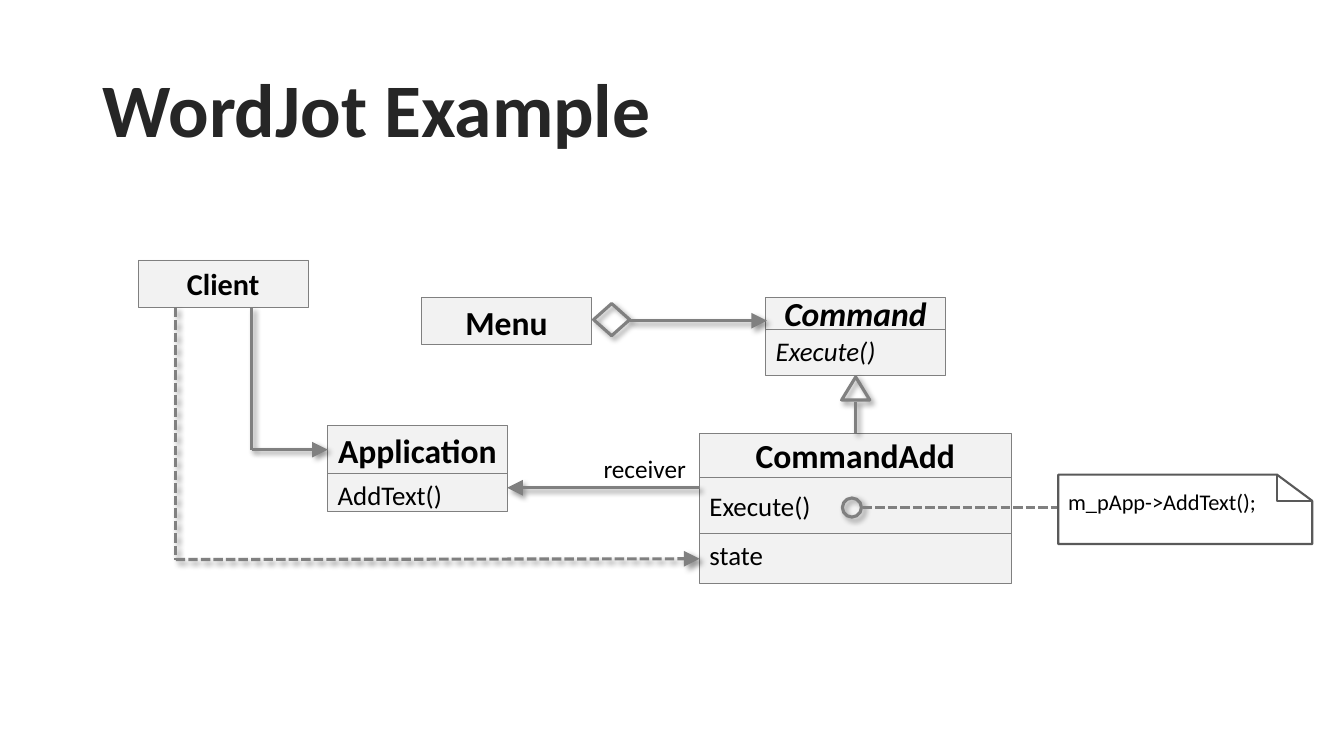
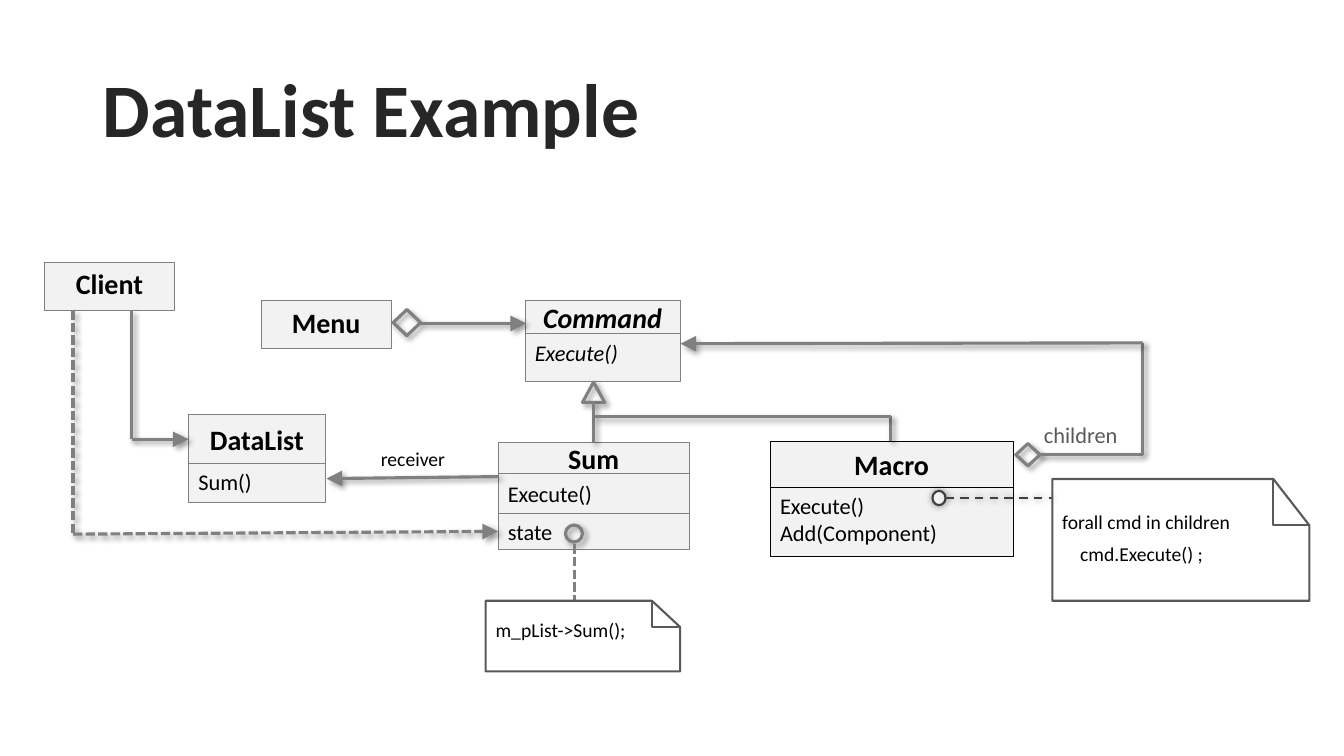
"""Build two class diagrams that explain the Command pattern."""
from dataclasses import dataclass

from lxml import etree
from pptx import Presentation
from pptx import util as u
from pptx.dml.color import RGBColor
from pptx.enum import dml, shapes, text
from pptx.oxml.ns import qn


@dataclass(frozen=True)
class Theme:
    font: str = "Calibri"
    title: str = "262626"
    ink: str = "000000"
    soft: str = "595959"
    edge: str = "808080"
    dark: str = "404040"
    fill: str = "F2F2F2"
    big: float = 54
    ratio: float = 0.8
    thin: float = 0.5
    mid: float = 1.5
    bold: float = 2.25
    glow: tuple = (5, 0, 0)
    drop: tuple = (4, 3, 45)


T = Theme()
KIND = shapes.MSO_SHAPE
MID, TOP = text.MSO_ANCHOR.MIDDLE, text.MSO_ANCHOR.TOP
LEFT, MIDX = text.PP_ALIGN.LEFT, text.PP_ALIGN.CENTER
DOTS, DASH = dml.MSO_LINE.SQUARE_DOT, dml.MSO_LINE.DASH

SLIDES = [
    {
        "title": "WordJot Example",
        "boxes": [
            {"at": (19.3, 7.49), "w": 4.52, "size": 24, "italic": True,
             "rows": [("Command", 0.81), ("Execute()", 1.17)]},
            {"at": (10.62, 7.49), "w": 4.29, "size": 24, "rows": [("Menu", 1.19)]},
            {"at": (17.63, 10.92), "w": 7.85, "size": 24,
             "rows": [("CommandAdd", 1.12), ("Execute()", 1.4), ("state", 1.27)]},
            {"at": (8.26, 10.72), "w": 4.52, "size": 24,
             "rows": [("Application", 1.22), ("AddText()", 0.94)]},
            {"at": (3.48, 6.55), "w": 4.29, "size": 21.6, "rows": [("Client", 1.19)]},
        ],
        "marks": [
            {"kind": KIND.DIAMOND, "at": (14.96, 7.65, 0.91, 0.81)},
            {"kind": KIND.ISOSCELES_TRIANGLE, "at": (21.21, 9.5, 0.71, 0.58)},
            {"kind": KIND.OVAL, "at": (21.23, 12.55, 0.48, 0.48)},
        ],
        "paths": [
            {"pts": [(17.63, 12.29), (12.78, 12.29)], "tip": True},
            {"pts": [(15.88, 8.08), (19.33, 8.08)], "tip": True},
            {"pts": [(21.56, 10.13), (21.56, 10.92)]},
            {"pts": [(6.34, 7.75), (6.34, 11.33), (8.26, 11.33)], "tip": True},
            {"pts": [(4.43, 7.75), (4.43, 14.1), (17.63, 14.08)], "tip": True, "dash": DOTS},
            {"pts": [(21.74, 12.78), (26.67, 12.78)], "dash": DOTS, "fx": None},
        ],
        "notes": [
            {"at": (26.67, 11.96, 6.4, 1.75), "fold": (0.89, 0.66), "size": 16,
             "lines": [("m_pApp->AddText();", 0)], "lead": 0.5, "gap": 7.2},
        ],
        "tags": [
            {"at": (14.96, 11.46, 2.74, 0.97), "text": "receiver", "size": 18,
             "lead": 0.5, "gap": 7.2, "anchor": MID},
        ],
    },
    {
        "title": "DataList Example",
        "boxes": [
            {"at": (13.23, 7.57), "w": 3.91, "italic": True,
             "rows": [("Command", 0.84), ("Execute()", 1.19)]},
            {"at": (6.58, 7.57), "w": 3.28, "rows": [("Menu", 1.22)]},
            {"at": (12.55, 11.15), "w": 4.83,
             "rows": [("Sum", 0.79), ("Execute()", 0.99), ("state", 0.91)]},
            {"at": (4.75, 10.44), "w": 3.45, "rows": [("DataList", 1.24), ("Sum()", 0.97)]},
            {"at": (1.12, 6.6), "w": 3.28, "rows": [("Client", 1.22)]},
            {"at": (19.41, 11.13), "w": 6.12, "edge": T.ink,
             "rows": [("Macro", 1.15), ("Execute()\nAdd(Component)", 1.75)]},
        ],
        "marks": [
            {"kind": KIND.DIAMOND, "at": (9.91, 7.8, 0.69, 0.66)},
            {"kind": KIND.ISOSCELES_TRIANGLE, "at": (14.68, 9.63, 0.56, 0.51)},
            {"kind": KIND.OVAL, "at": (14.25, 13.23, 0.43, 0.43)},
            {"kind": KIND.DIAMOND, "at": (25.6, 11.18, 0.61, 0.56)},
            {"kind": KIND.OVAL, "at": (23.5, 12.37, 0.33, 0.36), "fill": T.fill,
             "edge": T.dark, "width": T.mid, "fx": T.glow},
        ],
        "paths": [
            {"pts": [(12.55, 12.01), (8.23, 12.06)], "tip": True},
            {"pts": [(10.62, 8.15), (13.26, 8.15)], "tip": True},
            {"pts": [(14.96, 10.11), (14.96, 11.15)]},
            {"pts": [(3.32, 7.82), (3.32, 11.07), (4.75, 11.07)], "tip": True},
            {"pts": [(1.84, 7.82), (1.84, 13.46), (12.55, 13.39)], "tip": True, "dash": DOTS},
            {"pts": [(14.48, 13.72), (14.48, 15.14)], "dash": DOTS, "fx": None},
            {"pts": [(26.16, 11.46), (28.8, 11.46), (28.8, 8.64), (17.15, 8.66)], "tip": True},
            {"pts": [(23.83, 12.55), (26.52, 12.55)], "dash": DASH,
             "edge": T.dark, "width": T.mid, "fx": T.glow},
            {"pts": [(22.45, 11.1), (22.45, 10.49), (14.96, 10.49)]},
        ],
        "notes": [
            {"at": (12.24, 15.14, 4.9, 1.78), "fold": (0.71, 0.66), "size": 14,
             "lines": [("m_pList->Sum();", 0)], "lead": 0.5, "gap": 7.2},
            {"at": (26.52, 12.07, 6.48, 3.07), "fold": (0.91, 1.17), "size": 14,
             "lines": [("forall cmd in children", 0), ("cmd.Execute() ;", 0.45)], "gap": 6},
        ],
        "tags": [
            {"at": (9.35, 11.18, 2.64, 0.99), "text": "receiver", "size": 14,
             "lead": 0.5, "gap": 7.2, "anchor": MID},
            {"at": (26.06, 10.49, 2.84, 0.84), "text": "children", "size": 16, "color": T.soft},
        ],
    },
]


def cm(vals):
    return [u.Cm(v) for v in vals]


def say(frame, words, size=16, color=T.ink, bold=False, italic=False, align=LEFT,
        anchor=TOP, lead=None, gap=None, indent=0):
    frame.word_wrap = True
    frame.vertical_anchor = anchor
    for line in words.split("\n"):
        para = frame.paragraphs[-1]
        if para.runs:
            para = frame.add_paragraph()
        para.alignment = align
        if lead:
            para.line_spacing = lead
        if gap:
            para.space_before = u.Pt(gap)
        if indent:
            para._p.get_or_add_pPr().set("marL", str(u.Cm(indent)))
        run = para.add_run()
        run.text = line
        font = run.font
        font.name, font.size, font.bold, font.italic = T.font, u.Pt(size), bold, italic
        font.color.rgb = RGBColor.from_string(color)


def style(shape, fill=None, edge=T.edge, width=T.bold, dash=None, fx=None):
    if hasattr(shape, "fill"):
        if fill:
            shape.fill.solid()
            shape.fill.fore_color.rgb = RGBColor.from_string(fill)
        else:
            shape.fill.background()
    shape.line.color.rgb = RGBColor.from_string(edge)
    shape.line.width = u.Pt(width)
    if dash:
        shape.line.dash_style = dash
    effect = etree.SubElement(shape._element.spPr, qn("a:effectLst"))
    if fx:
        blur, dist, turn = fx
        shade = etree.SubElement(effect, qn("a:outerShdw"), blurRad=str(u.Pt(blur)),
                                 dist=str(u.Pt(dist)), dir=str(turn * 60000),
                                 algn="tl", rotWithShape="0")
        tint = etree.SubElement(shade, qn("a:srgbClr"), val=T.ink)
        etree.SubElement(tint, qn("a:alpha"), val="40000")


def draw_box(slide, at, w, rows, size=20, italic=False, edge=T.edge):
    x, y = at
    for i, (words, h) in enumerate(rows):
        head, last = i == 0, i == len(rows) - 1
        cell = slide.shapes.add_shape(KIND.RECTANGLE, *cm((x, y, w, h)))
        style(cell, fill=T.fill, edge=edge, width=T.thin)
        say(cell.text_frame, words, size=size if head else size * T.ratio, bold=head,
            italic=italic, align=MIDX if head else LEFT, anchor=TOP if last else MID)
        y += h


def draw_mark(slide, kind, at, fx=T.drop, **look):
    style(slide.shapes.add_shape(kind, *cm(at)), fx=fx, **look)


def draw_path(slide, pts, tip=False, fx=T.drop, **look):
    for start, end in zip(pts, pts[1:]):
        line = slide.shapes.add_connector(shapes.MSO_CONNECTOR.STRAIGHT, *cm(start + end))
        style(line, fx=fx, **look)
        if tip and end == pts[-1]:
            etree.SubElement(line.line._get_or_add_ln(), qn("a:tailEnd"),
                             type="triangle", w="lg", len="lg")


def draw_note(slide, at, fold, lines, **form):
    x, y, w, h = cm(at)
    dx, dy = cm(fold)
    crease, right, low = x + w - dx, x + w, y + dy
    pen = slide.shapes.build_freeform(x, y)
    pen.add_line_segments([(crease, y), (right, low), (right, y + h), (x, y + h)], close=True)
    pen.move_to(crease, y)
    pen.add_line_segments([(crease, low), (right, low)], close=False)
    note = pen.convert_to_shape()
    style(note, edge=T.soft, width=T.mid)
    note.text_frame.margin_bottom = u.Cm(0.25)
    for words, indent in lines:
        say(note.text_frame, words, indent=indent, anchor=MID, **form)


def draw_tag(slide, at, text, **form):
    say(slide.shapes.add_textbox(*cm(at)).text_frame, text, **form)


def main():
    deck = Presentation()
    deck.slide_width, deck.slide_height = cm((33.87, 19.05))
    layout = deck.slide_layouts[5]
    head = layout.placeholders[0]
    head.left, head.top, head.width, head.height = cm((2.34, 1.02, 29.21, 3.68))
    parts = {"boxes": draw_box, "marks": draw_mark, "paths": draw_path,
             "notes": draw_note, "tags": draw_tag}
    for data in SLIDES:
        slide = deck.slides.add_slide(layout)
        say(slide.shapes.title.text_frame, data["title"], size=T.big, color=T.title,
            bold=True, anchor=MID, lead=0.9)
        for key, draw in parts.items():
            for item in data[key]:
                draw(slide, **item)
    deck.save("out.pptx")


if __name__ == "__main__":
    main()
